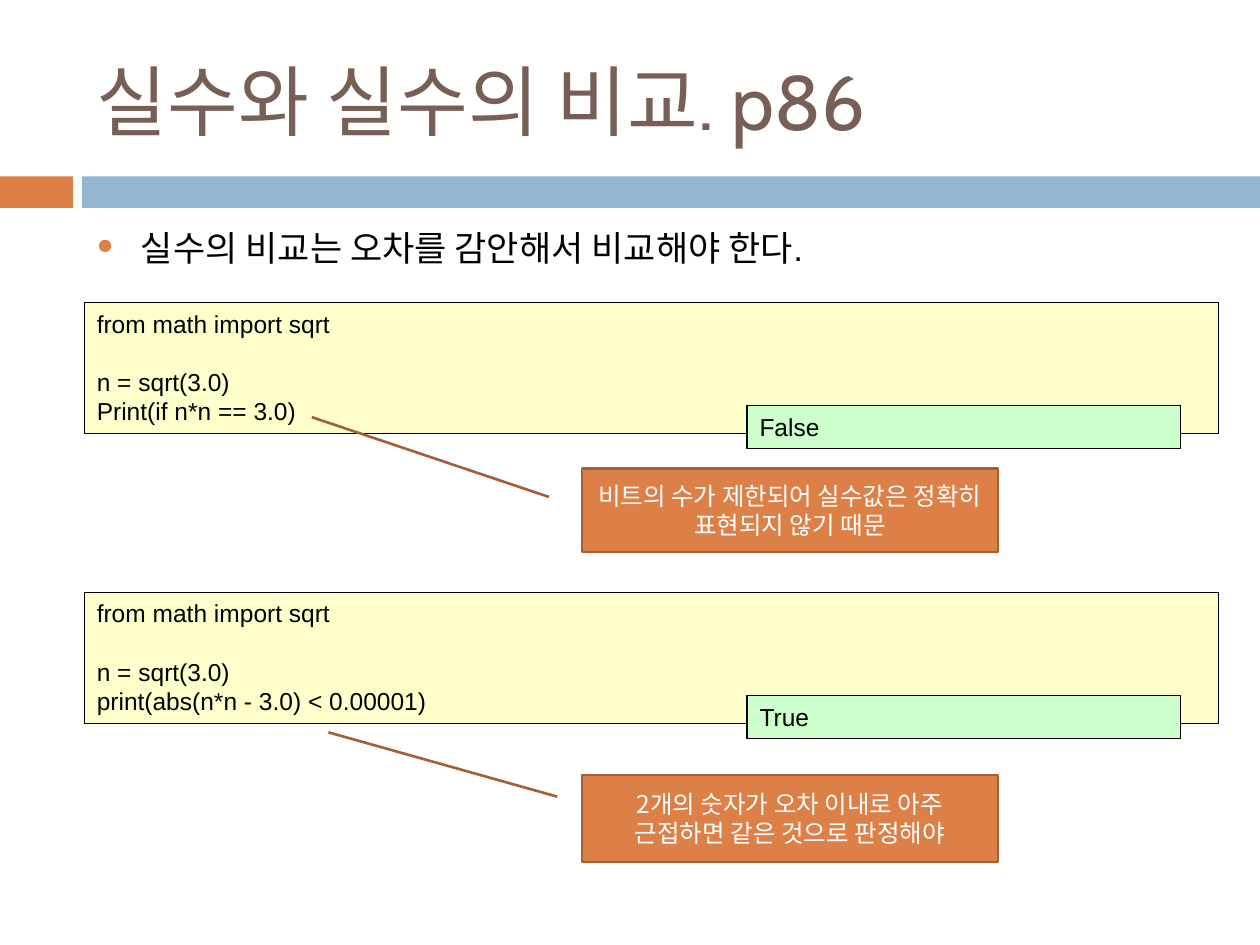
from dataclasses import dataclass

from lxml import etree
from pptx import Presentation
from pptx.dml.color import RGBColor
from pptx.enum.shapes import MSO_SHAPE
from pptx.enum.text import MSO_ANCHOR, PP_ALIGN
from pptx.oxml.ns import qn
from pptx.util import Inches, Pt

RECTANGLE = MSO_SHAPE.RECTANGLE
CALLOUT = MSO_SHAPE.LINE_CALLOUT_1
TOP, MIDDLE = MSO_ANCHOR.TOP, MSO_ANCHOR.MIDDLE
LEFT, CENTER = PP_ALIGN.LEFT, PP_ALIGN.CENTER


@dataclass(frozen=True)
class Theme:
    """Colours, fonts and type sizes of the slide."""
    accent: str = "DD8047"
    accent_edge: str = "A35F35"
    band: str = "94B6D2"
    title: str = "775F55"
    ink: str = "000000"
    paper: str = "FFFFFF"
    code: str = "FFFFCC"
    output: str = "CCFFCC"
    title_font: str = "Cabin"
    body_font: str = "Arial"
    korean_font: str = "Noto Sans CJK KR"
    title_size: int = 44
    body_size: int = 20
    code_size: int = 14
    code_gap: float = 16.5


THEME = Theme()


def write(shape, lines, size, font, color, anchor=TOP, align=LEFT):
    """Fill a shape with paragraphs of one format and return them."""
    frame = shape.text_frame
    for name, value in {"word_wrap": True, "vertical_anchor": anchor}.items():
        setattr(frame, name, value)
    frame.text = "\n".join(lines)
    for para in frame.paragraphs:
        para.alignment = align
        for span in para.runs:
            for name, value in {"size": Pt(size), "name": font}.items():
                setattr(span.font, name, value)
            span.font.color.rgb = RGBColor.from_string(color)
            east_asian = etree.SubElement(span.font._element, qn("a:ea"))
            east_asian.set("typeface", THEME.korean_font)
    return frame.paragraphs


def add_panel(page, box, fill, edge=None, width=0.75, kind=RECTANGLE):
    """Add a flat filled shape with an optional outline."""
    panel = page.shapes.add_shape(kind, *map(Inches, box))
    panel.shadow.inherit = False
    panel.fill.solid()
    panel.fill.fore_color.rgb = RGBColor.from_string(fill)
    if edge:
        panel.line.color.rgb = RGBColor.from_string(edge)
        panel.line.width = Pt(width)
    else:
        panel.line.fill.background()
    return panel


def add_band(page, box):
    """Draw the two-colour band under the title."""
    left, top, width, height = box
    tab, gap = 0.58, 0.07
    add_panel(page, (left, top, tab, height), THEME.accent)
    rest = tab + gap
    add_panel(page, (left + rest, top, width - rest, height), THEME.band)


def add_title(page, box, text):
    """Write the slide title."""
    title = page.shapes.add_textbox(*map(Inches, box))
    write(title, [text], THEME.title_size, THEME.title_font, THEME.title, MIDDLE)


def add_bullet(page, box, text):
    """Write the bulleted statement."""
    body = page.shapes.add_textbox(*map(Inches, box))
    para = write(body, [text], THEME.body_size, THEME.body_font, THEME.ink)[0]
    para.space_before = Pt(7)
    props = para._p.get_or_add_pPr()
    for name, value in {"marL": Inches(0.35), "indent": Inches(-0.35)}.items():
        props.set(name, str(value))
    color = etree.SubElement(props, qn("a:buClr"))
    etree.SubElement(color, qn("a:srgbClr")).set("val", THEME.accent)
    etree.SubElement(props, qn("a:buSzPct")).set("val", "60000")
    etree.SubElement(props, qn("a:buChar")).set("char", "●")


def add_example(page, box, code, result):
    """Draw a code listing with its output overlapping the lower edge."""
    left, top, width, height = box
    listing = add_panel(page, box, THEME.code, THEME.ink)
    paras = write(listing, code, THEME.code_size, THEME.body_font, THEME.ink)
    paras[1].space_before = Pt(THEME.code_gap)
    output_box = (left + 5.26, top + 0.82, 3.44, 0.34)
    output = add_panel(page, output_box, THEME.output, THEME.ink)
    write(output, [result], THEME.code_size, THEME.body_font, THEME.ink)


def add_callout(page, box, text, pointer):
    """Draw an explanation whose pointer is given in fractions of its box."""
    callout = add_panel(page, box, THEME.accent, THEME.accent_edge, 1.5, CALLOUT)
    for index, value in enumerate(pointer):
        callout.adjustments[index] = value
    write(callout, [text], THEME.code_size, THEME.korean_font, THEME.paper,
          MIDDLE, CENTER)


def main():
    """Build and save the slide."""
    deck = Presentation()
    deck.slide_width, deck.slide_height = Inches(10), Inches(7.5)
    page = deck.slides.add_slide(deck.slide_layouts[6])
    add_band(page, (0, 1.4, 10, 0.25))
    add_title(page, (0.67, 0.25, 8.92, 1.08), "실수와 실수의 비교. p86")
    add_bullet(page, (0.67, 1.75, 8.92, 0.55),
               "실수의 비교는 오차를 감안해서 비교해야 한다.")
    setup = ["from math import sqrt", "n = sqrt(3.0)"]
    examples = [
        (2.4, "Print(if n*n == 3.0)", "False"),
        (4.7, "print(abs(n*n - 3.0) < 0.00001)", "True"),
    ]
    for top, test, result in examples:
        add_example(page, (0.67, top, 9, 1.04), setup + [test], result)
    callouts = [
        (3.72, 0.66, "비트의 수가 제한되어 실수값은 정확히 표현되지 않기 때문",
         (0.34, -0.08, -0.62, -0.65)),
        (6.15, 0.69, "2개의 숫자가 오차 이내로 아주 근접하면 같은 것으로 판정해야",
         (0.25, -0.06, -0.49, -0.61)),
    ]
    for top, height, text, pointer in callouts:
        add_callout(page, (4.62, top, 3.3, height), text, pointer)
    deck.save("out.pptx")


if __name__ == "__main__":
    main()
